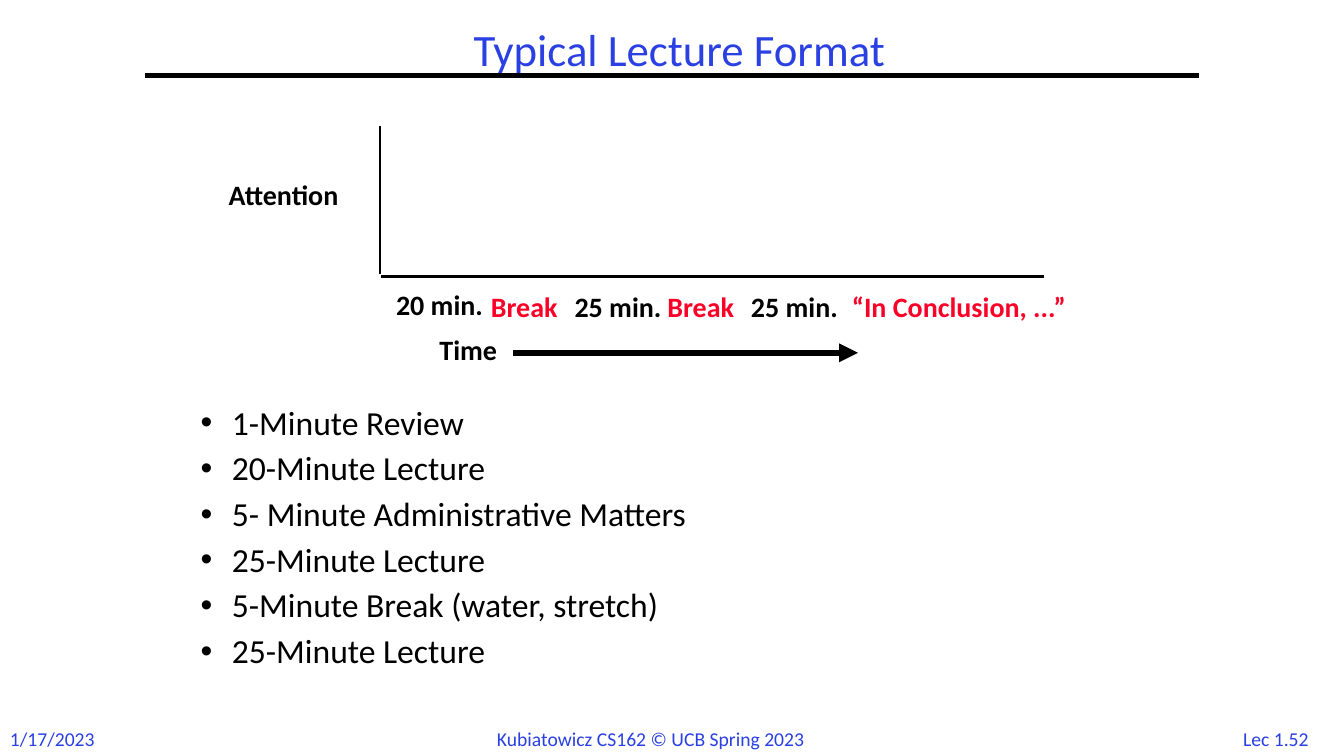
from pptx import Presentation
from pptx.dml.color import RGBColor
from pptx.enum.shapes import MSO_CONNECTOR
from pptx.enum.text import MSO_ANCHOR, PP_ALIGN
from pptx.oxml.ns import qn
from pptx.util import Inches, Pt
from lxml import etree

STRAIGHT = MSO_CONNECTOR.STRAIGHT
TOP, MIDDLE = MSO_ANCHOR.TOP, MSO_ANCHOR.MIDDLE
LEFT, CENTER = PP_ALIGN.LEFT, PP_ALIGN.CENTER
BLUE, RED, BLACK = "2A40E2", "FC0128", "000000"


def write(sp, lines, size, color, bold=False, align=LEFT, margins=(0.1, 0.05)):
    tf = sp.text_frame
    tf.word_wrap = True
    tf.vertical_anchor = TOP
    tf.margin_left = tf.margin_right = Inches(margins[0])
    tf.margin_top = tf.margin_bottom = Inches(margins[1])
    tf.text = "\n".join(lines)
    for p in tf.paragraphs:
        p.alignment = align
        for r in p.runs:
            r.font.name = "Calibri"
            r.font.size = Pt(size)
            r.font.bold = bold
            r.font.color.rgb = RGBColor.from_string(color)
    return tf


def add_line(x1, y1, x2, y2, width):
    s = slide.shapes.add_connector(STRAIGHT, Inches(x1), Inches(y1), Inches(x2), Inches(y2))
    s.line.color.rgb = RGBColor.from_string(BLACK)
    s.line.width = Pt(width)
    etree.SubElement(s._element.spPr, qn("a:effectLst"))
    return s


prs = Presentation()
prs.slide_width, prs.slide_height = Inches(13.33), Inches(7.5)
slide = prs.slides.add_slide(prs.slide_layouts[5])

title = slide.shapes.title
title.left, title.top, title.width, title.height = Inches(4.38), Inches(0.25), Inches(4.72), Inches(0.54)
tf = write(title, ["Typical Lecture Format"], 32, BLUE, align=CENTER, margins=(0.07, 0.03))
tf.vertical_anchor = MIDDLE
tf.paragraphs[0].line_spacing = 0.9
add_line(1.44, 0.75, 11.89, 0.75, 3)

footers = [
    ("1/17/2023", 0, 1.2, LEFT),
    ("Kubiatowicz CS162 © UCB Spring 2023", 4.83, 3.68, LEFT),
    ("Lec 1.52", 12.17, 0.97, CENTER),
]
for text, x, width, align in footers:
    sp = slide.shapes.add_textbox(Inches(x), Inches(7.16), Inches(width), Inches(0.34))
    write(sp, [text], 14, BLUE, align=align)

agenda = [
    "1-Minute Review",
    "20-Minute Lecture",
    "5- Minute Administrative Matters",
    "25-Minute Lecture",
    "5-Minute Break (water, stretch)",
    "25-Minute Lecture",
]
sp = slide.shapes.add_textbox(Inches(1.92), Inches(4), Inches(8.92), Inches(2.84))
tf = write(sp, agenda, 24, BLACK, margins=(0.07, 0.03))
for i, p in enumerate(tf.paragraphs):
    pPr = p._p.get_or_add_pPr()
    pPr.set("marL", str(Inches(0.31)))
    pPr.set("indent", str(-Inches(0.31)))
    etree.SubElement(pPr, qn("a:buFont")).set("typeface", "Arial")
    etree.SubElement(pPr, qn("a:buChar")).set("char", "•")
    p.line_spacing = 0.9
    p.space_before = Pt(6.7 if i else 0)

chart_labels = [
    ("Attention", 2.17, 1.71, 1.43, BLACK),
    ("Time", 4.26, 3.25, 0.85, BLACK),
    ("20 min.", 3.83, 2.8, 1.16, BLACK),
    ("Break", 4.77, 2.82, 0.98, RED),
    ("25 min.", 5.6, 2.82, 1.16, BLACK),
    ("Break", 6.52, 2.82, 0.98, RED),
    ("25 min.", 7.35, 2.82, 1.16, BLACK),
    ("“In Conclusion, ...”", 8.35, 2.82, 2.72, RED),
]
for text, x, y, width, color in chart_labels:
    sp = slide.shapes.add_textbox(Inches(x), Inches(y), Inches(width), Inches(0.43))
    write(sp, [text], 20, color, bold=True)

add_line(3.77, 1.25, 3.77, 2.72, 2)
add_line(3.78, 2.74, 10.35, 2.74, 2)
time_arrow = add_line(5.09, 3.5, 8.51, 3.5, 4.5)
etree.SubElement(time_arrow.line._get_or_add_ln(), qn("a:tailEnd")).set("type", "triangle")

prs.save("out.pptx")
